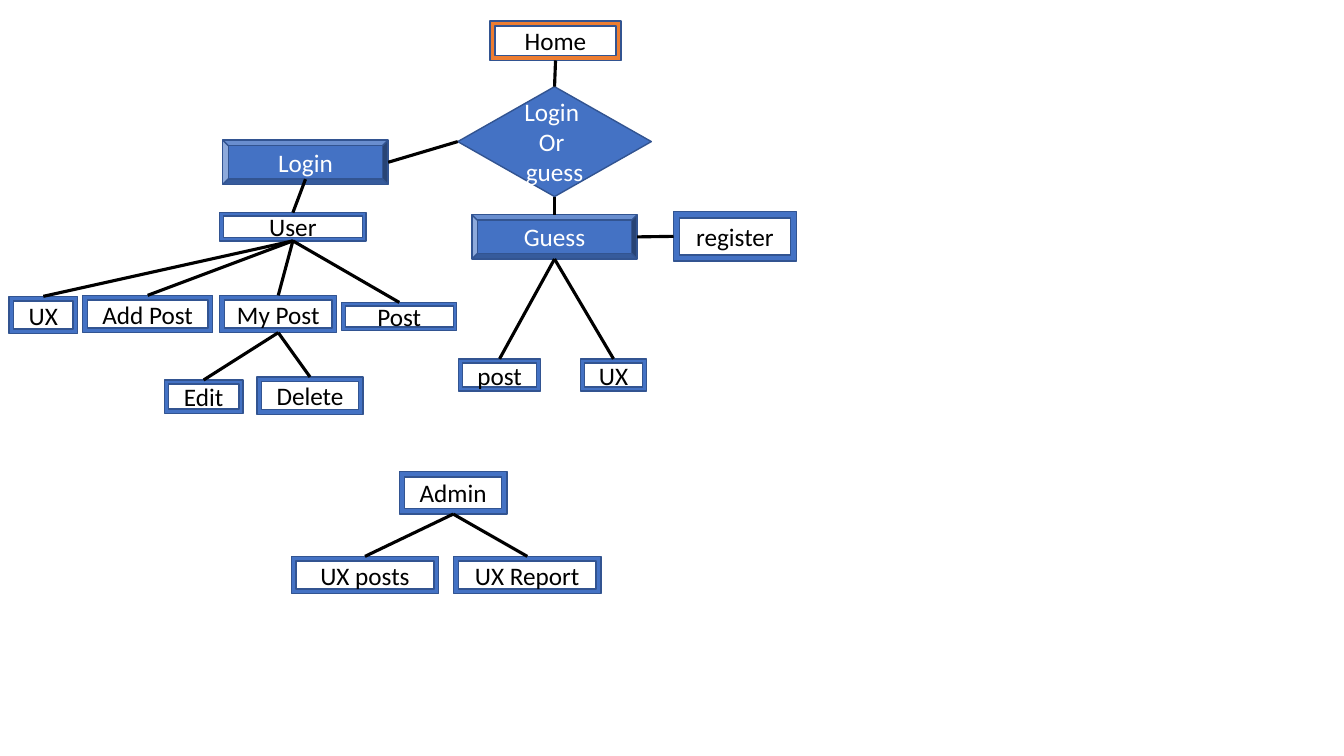
import pptx
import pptx.util
import pptx.oxml.ns
from pptx.dml.color import RGBColor
from pptx.enum.shapes import MSO_CONNECTOR, MSO_SHAPE
from pptx.enum.text import MSO_ANCHOR, PP_ALIGN
from lxml import etree

BLUE = RGBColor(0x44, 0x72, 0xC4)
DARK_BLUE = RGBColor(0x32, 0x54, 0x91)
ORANGE = RGBColor(0xED, 0x7D, 0x31)
BLACK = RGBColor(0, 0, 0)
WHITE = RGBColor(0xFF, 0xFF, 0xFF)

FONT_FORMAT = {"name": "Calibri", "size": pptx.util.Pt(18)}
FRAME_FORMAT = {"word_wrap": True, "vertical_anchor": MSO_ANCHOR.MIDDLE}

# Slide with a fine grid of square cells
COLUMNS, ROWS = 1333, 750
presentation = pptx.Presentation()
presentation.slide_width = pptx.util.Inches(13.33)
presentation.slide_height = pptx.util.Inches(7.5)
CELL = presentation.slide_width / COLUMNS
slide = presentation.slides.add_slide(presentation.slide_layouts[6])

FRAME, BEVEL, DIAMOND = MSO_SHAPE.FRAME, MSO_SHAPE.BEVEL, MSO_SHAPE.DIAMOND
TEXT_COLORS = {FRAME: BLACK, BEVEL: WHITE, DIAMOND: WHITE}

# Nodes: preset, text, left column, top row, columns, rows
NODES = {
    "home": (FRAME, "Home", 486, 21, 130, 39),
    "choice": (DIAMOND, "Login \nOr \nguess", 454, 86, 192, 109),
    "login": (BEVEL, "Login", 221, 139, 164, 44),
    "guess": (BEVEL, "Guess", 468, 213, 164, 44),
    "register": (FRAME, "register", 668, 210, 122, 49),
    "user": (FRAME, "User", 218, 211, 145, 28),
    "user ux": (FRAME, "UX", 9, 294, 68, 37),
    "add post": (FRAME, "Add Post", 82, 293, 129, 37),
    "my post": (FRAME, "My Post", 218, 293, 116, 37),
    "user post": (FRAME, "Post", 339, 300, 114, 28),
    "edit": (FRAME, "Edit", 163, 377, 78, 33),
    "delete": (FRAME, "Delete", 255, 374, 105, 37),
    "guess post": (FRAME, "post", 455, 356, 81, 32),
    "guess ux": (FRAME, "UX", 576, 356, 65, 32),
    "admin": (FRAME, "Admin", 396, 468, 107, 42),
    "ux posts": (FRAME, "UX posts", 289, 552, 146, 37),
    "ux report": (FRAME, "UX Report", 450, 552, 146, 37),
}

for name, (preset, text, left, top, width, height) in NODES.items():
    box = [round(cells * CELL) for cells in (left, top, width, height)]
    shape = slide.shapes.add_shape(preset, *box)
    shape.shadow.inherit = False
    shape.fill.solid()
    shape.fill.fore_color.rgb = ORANGE if name == "home" else BLUE
    shape.line.color.rgb = DARK_BLUE
    shape.line.width = pptx.util.Pt(1)
    shape.text_frame.text = text
    for attribute, value in FRAME_FORMAT.items():
        setattr(shape.text_frame, attribute, value)
    for paragraph in shape.text_frame.paragraphs:
        paragraph.alignment = PP_ALIGN.CENTER
        font = paragraph.runs[0].font
        font.color.rgb = TEXT_COLORS[preset]
        for attribute, value in FONT_FORMAT.items():
            setattr(font, attribute, value)

# Points on a node, as shares of its width and height
TOP, BOTTOM, LEFT, RIGHT = (0.5, 0), (0.5, 1), (0, 0.5), (1, 0.5)
INNER_BOTTOM = (0.5, 0.88)


def node_point(name, share):
    left, top, width, height = NODES[name][2:]
    return round((left + share[0] * width) * CELL), round((top + share[1] * height) * CELL)


# Links: the tree runs from the bottom of a parent to the top of each child
CHILDREN = {
    "home": ["choice"],
    "choice": ["guess"],
    "user": ["user ux", "add post", "my post", "user post"],
    "my post": ["edit", "delete"],
    "guess": ["guess post", "guess ux"],
    "admin": ["ux posts", "ux report"],
}
links = [(parent, BOTTOM, child, TOP) for parent in CHILDREN for child in CHILDREN[parent]]
links += [
    ("login", RIGHT, "choice", LEFT),
    ("login", INNER_BOTTOM, "user", TOP),
    ("guess", RIGHT, "register", LEFT),
]

for start, start_share, end, end_share in links:
    connector = slide.shapes.add_connector(
        MSO_CONNECTOR.STRAIGHT, *node_point(start, start_share), *node_point(end, end_share))
    connector.line.color.rgb = BLACK
    connector.line.width = pptx.util.Pt(2.25)
    etree.SubElement(connector._element.spPr, pptx.oxml.ns.qn("a:effectLst"))

presentation.save("out.pptx")
